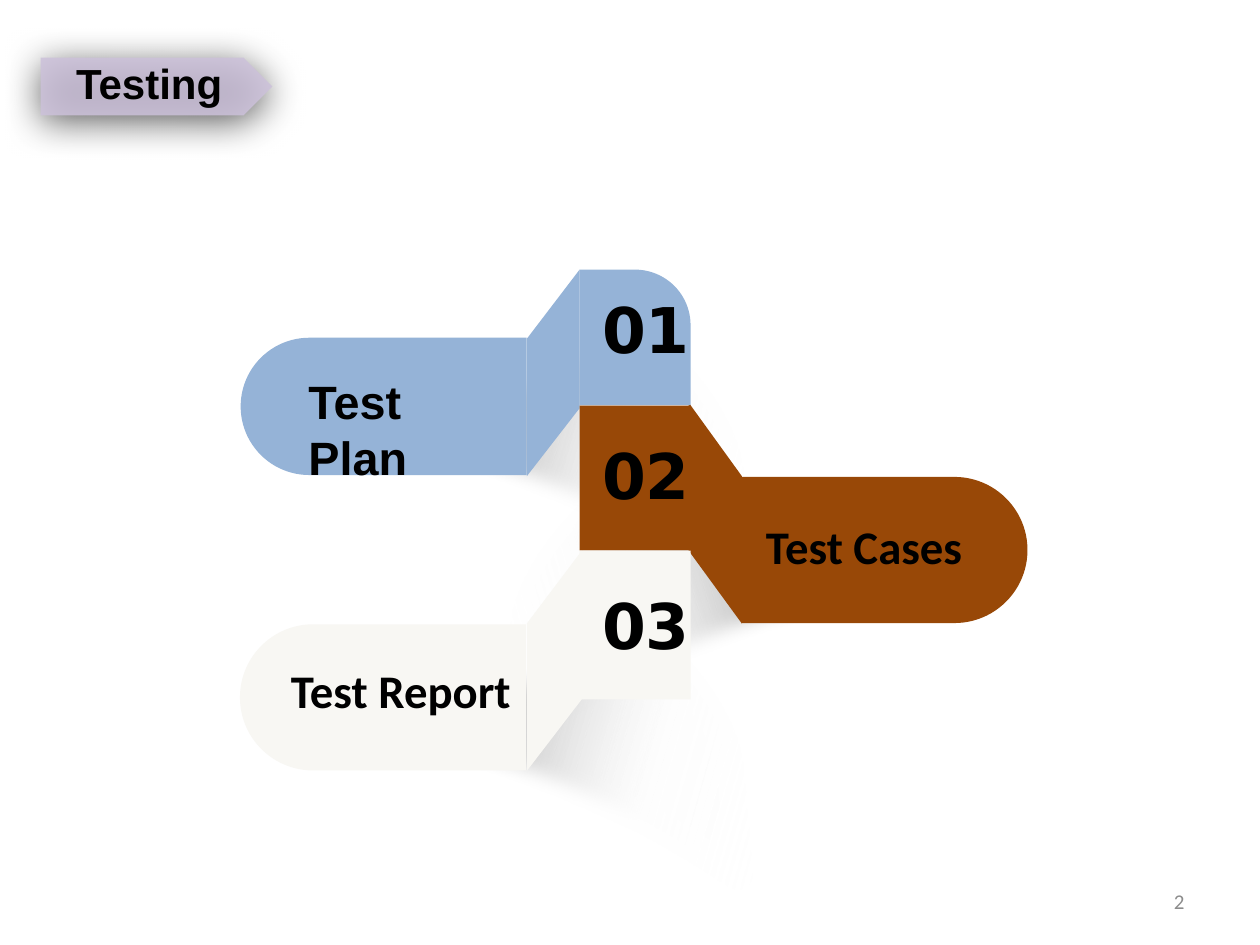
from dataclasses import dataclass
from math import cos, radians, sin
from pptx import Presentation
from pptx.dml.color import RGBColor
from pptx.enum.shapes import MSO_SHAPE
from pptx.enum.text import MSO_ANCHOR, PP_ALIGN
from pptx.oxml import parse_xml
from pptx.oxml.ns import nsdecls, qn
from pptx.util import Pt

BLUE = RGBColor(0x95, 0xB3, 0xD7)
BROWN = RGBColor(0x98, 0x48, 0x07)
CREAM = RGBColor(0xF8, 0xF7, 0xF3)
LILAC = RGBColor(0xCC, 0xC1, 0xDA)
BLACK = RGBColor(0, 0, 0)
GRAY = RGBColor(0x8C, 0x8C, 0x8C)

SHADE_W, SHADE_H, TILT = 252.7, 182.2, 5.8
SHADE = [(0, 83.5), (95, 95), (185.8, 142.6), (243.4, 193.7),
         (231.8, 81.4), (225.4, 57.6), (211, 33.1), (171.4, 3.6),
         (119.5, 26.6), (92.9, 41.8), (0, 83.5)]
CURVES = (0, 4, 7)
STOPS = [(0, "000000", 100), (66, "E9E9E9", 10), (100, "FFFFFF", 0)]


@dataclass
class Shade:
    left: float
    top: float
    flip: bool


@dataclass
class Step:
    label: str
    font: str
    color: RGBColor
    kind: MSO_SHAPE
    top: float
    height: float
    fold: list
    tab: tuple
    turn: int
    text: tuple
    num: float


SHADES = [Shade(267.1, 262.1, True), Shade(195.8, 342, False),
          Shade(195.8, 173.5, False)]
STEPS = [
    Step("Test Plan", "Arial", BLUE, MSO_SHAPE.ROUND_1_RECTANGLE, 154.1, 77.5,
         [(331.2, 154.1), (301, 193.7), (301, 272.2), (331.2, 233.3)],
         (180, 150.5, 78.5, 163.4), 270, (169.2, 209.5, 115.2, 100.8), 162.5),
    Step("Test Cases", "Calibri", BROWN, MSO_SHAPE.RECTANGLE, 231.8, 82.8,
         [(393.5, 230), (424, 272.2), (424, 356.4), (393.5, 314.6)],
         (463.7, 232.6, 83.5, 163.4), 90, (430.6, 292.3, 149, 72), 246),
    Step("Test Report", "Calibri", CREAM, MSO_SHAPE.RECTANGLE, 314.6, 85,
         [(333, 314), (301, 356.4), (301, 440.6), (333, 398.9)],
         (177.1, 316.8, 83.5, 163.4), 270, (159.1, 374.4, 180, 72), 331.5),
]

deck = Presentation()
deck.slide_width, deck.slide_height = Pt(720), Pt(540)
slide = deck.slides.add_slide(deck.slide_layouts[6])


def paint(shape, color: RGBColor):
    shape.shadow.inherit = False
    shape.fill.solid()
    shape.fill.fore_color.rgb = color
    shape.line.fill.background()


def block(kind, box: tuple, color: RGBColor):
    shape = slide.shapes.add_shape(kind, *map(Pt, box))
    paint(shape, color)
    return shape


def outline(points: list):
    spots = [(Pt(x), Pt(y)) for x, y in points]
    pen = slide.shapes.build_freeform(*spots[0])
    pen.add_line_segments(spots[1:], close=True)
    return pen.convert_to_shape()


def write(frame, text: str, size: float, font: str, color: RGBColor = BLACK,
          bold: bool = True, align=PP_ALIGN.LEFT):
    frame.text = text
    para = frame.paragraphs[0]
    para.alignment = align
    para.font.size, para.font.name, para.font.bold = Pt(size), font, bold
    para.font.color.rgb = color


def label(box: tuple, text: str, size: float, font: str, wrap: bool = True, **style):
    frame = slide.shapes.add_textbox(*map(Pt, box)).text_frame
    frame.word_wrap = wrap
    write(frame, text, size, font, **style)
    return frame


def bend(shape):
    lines = list(shape.element.spPr.iter(qn("a:lnTo")))
    for first in CURVES:
        head, *rest = lines[first:first + 3]
        curve = parse_xml(f'<a:cubicBezTo {nsdecls("a")}/>')
        head.addprevious(curve)
        for line in (head, *rest):
            curve.append(line[0])
            line.getparent().remove(line)


def draw_shade(shade: Shade):
    c, s = cos(radians(TILT)), sin(radians(TILT))
    mid_x, mid_y = SHADE_W / 2, SHADE_H / 2
    shape = outline([
        (shade.left + mid_x + (x - mid_x) * c + (y - mid_y) * s,
         shade.top + mid_y + (y - mid_y) * c - (x - mid_x) * s)
        for x, y in SHADE])
    bend(shape)
    paint(shape, BLACK)
    shape.rotation = 360 - TILT if shade.flip else TILT
    props = shape.element.spPr
    if shade.flip:
        props.find(qn("a:xfrm")).set("flipH", "1")
    stops = "".join(
        f'<a:gs pos="{pos * 1000}"><a:srgbClr val="{color}">'
        f'<a:alpha val="{alpha * 1000}"/></a:srgbClr></a:gs>'
        for pos, color, alpha in STOPS)
    props.replace(props.find(qn("a:solidFill")), parse_xml(
        f'<a:gradFill {nsdecls("a")} rotWithShape="1"><a:gsLst>{stops}</a:gsLst>'
        '<a:lin ang="600000" scaled="0"/></a:gradFill>'))
    props.find(qn("a:effectLst")).append(parse_xml(
        f'<a:softEdge {nsdecls("a")} rad="{Pt(10)}"/>'))


def draw_tab(step: Step):
    paint(outline(step.fold), step.color)
    tab = block(MSO_SHAPE.ROUND_2_SAME_RECTANGLE, step.tab, step.color)
    tab.adjustments[0], tab.adjustments[1] = 0.5, 0
    tab.rotation = step.turn


def draw_core(step: Step):
    core = block(step.kind, (331.2, step.top, 63.4, step.height), step.color)
    if step.kind == MSO_SHAPE.ROUND_1_RECTANGLE:
        core.adjustments[0] = 0.5


def draw_title():
    title = block(MSO_SHAPE.PENTAGON, (23.2, 32.9, 132.5, 33.1), LILAC)
    title.adjustments[0] = 0.5
    props = title.element.spPr
    tint = props.find(qn("a:solidFill"))[0]
    tint.append(parse_xml(f'<a:alpha {nsdecls("a")} val="86000"/>'))
    props.find(qn("a:effectLst")).append(parse_xml(
        f'<a:outerShdw {nsdecls("a")} blurRad="{Pt(22)}" dist="{Pt(4)}" '
        'dir="5400000" algn="ctr" rotWithShape="0"><a:srgbClr val="000000">'
        '<a:alpha val="70000"/></a:srgbClr></a:outerShdw>'))
    frame = title.text_frame
    frame.margin_left = frame.margin_right = Pt(9.4)
    frame.margin_top, frame.margin_bottom = 0, Pt(4.7)
    frame.vertical_anchor = MSO_ANCHOR.MIDDLE
    write(frame, "Testing", 24, "Arial", align=PP_ALIGN.CENTER)


for shade in SHADES:
    draw_shade(shade)
for step in STEPS:
    draw_tab(step)
for step in STEPS:
    draw_core(step)
for rank, step in enumerate(STEPS, 1):
    label((337, step.num, 66.2, 51.1), f"{rank:02}", 36, "DejaVu Sans", wrap=False)
for step in STEPS:
    label(step.text, step.label, 26.7, step.font)
draw_title()
page = label((516.2, 500.4, 167.8, 28.8), "2", 12, "Calibri", color=GRAY,
             bold=False, align=PP_ALIGN.RIGHT)
page.vertical_anchor = MSO_ANCHOR.MIDDLE
deck.save("out.pptx")
